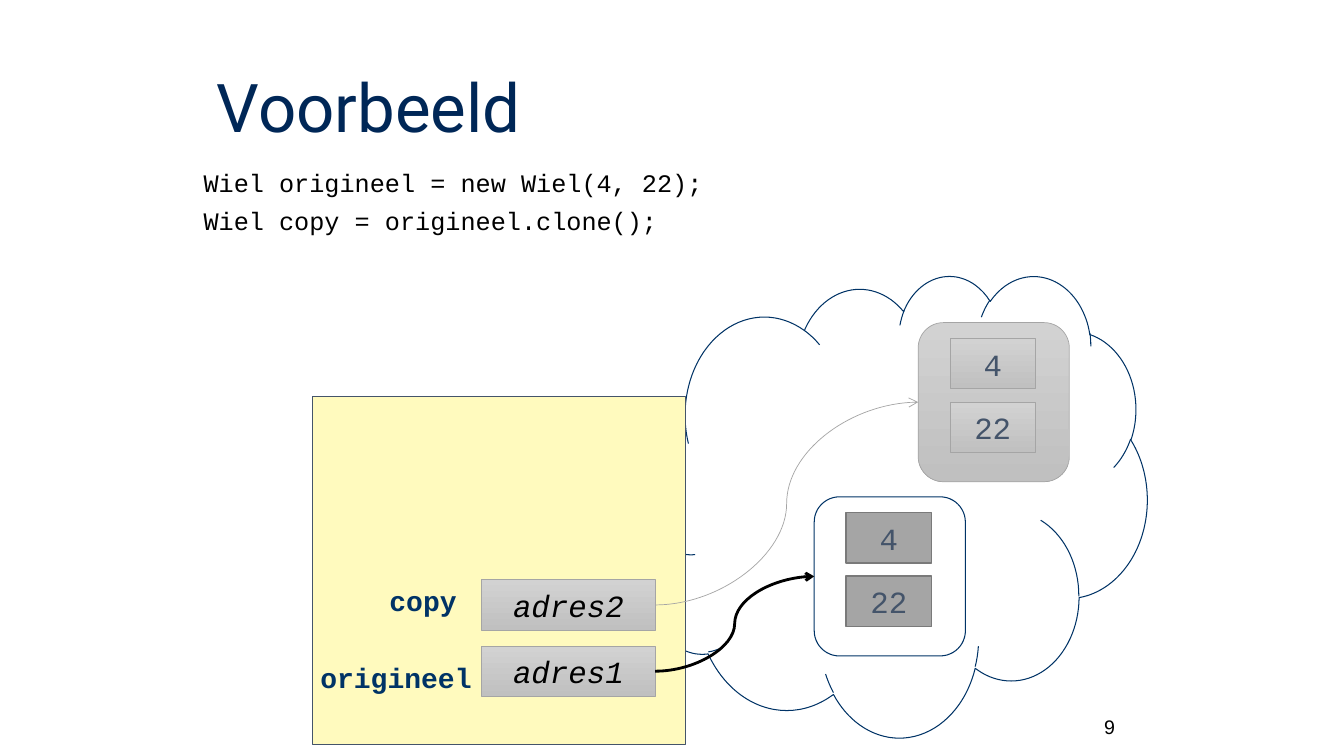
from lxml.etree import SubElement
from pptx import Presentation
from pptx.dml.color import RGBColor
from pptx.enum.shapes import MSO_CONNECTOR, MSO_SHAPE
from pptx.enum.text import MSO_ANCHOR, PP_ALIGN
from pptx.oxml.ns import qn
from pptx.util import Cm, Pt

BLACK = RGBColor(0x00, 0x00, 0x00)
WHITE = RGBColor(0xFF, 0xFF, 0xFF)
NAVY = RGBColor(0x00, 0x27, 0x57)
BLUE = RGBColor(0x00, 0x33, 0x66)
SLATE = RGBColor(0x44, 0x54, 0x6A)
CREAM = RGBColor(0xFF, 0xFA, 0xBE)
GREY = RGBColor(0xA5, 0xA5, 0xA5)
DARK = RGBColor(0x7A, 0x7A, 0x7A)
SHADE = [RGBColor(0xD2, 0xD2, 0xD2), RGBColor(0xC0, 0xC0, 0xC0)]

MONO = "Courier New"
CODE = {"name": MONO, "size": Pt(18), "color": BLACK}
LABEL = {"name": MONO, "size": Pt(20), "bold": True, "color": BLUE}
ADDRESS = {"name": MONO, "size": Pt(22), "italic": True, "color": BLACK}
VALUE = {"name": MONO, "size": Pt(22), "color": SLATE}
TITLE = {"name": "Roboto", "size": Pt(48), "color": NAVY}
NUMBER = {"name": "Arial", "size": Pt(14), "color": BLACK}

PALE = {"fill": SHADE, "line": GREY, "width": 0.5}
SOLID = {"fill": GREY, "line": DARK, "width": 1}
PLAIN = {"fill": WHITE, "line": BLUE, "width": 0.75}
STACK = {"fill": CREAM, "line": SLATE, "width": 0.75}


def write(para, text, style, align=PP_ALIGN.LEFT):
    para.alignment = align
    run = para.add_run()
    run.text = text
    for key, value in style.items():
        if key == "color":
            run.font.color.rgb = value
        else:
            setattr(run.font, key, value)


def add_text(slide, box, lines, style, align=PP_ALIGN.LEFT, wrap=True, inset=None, after=0):
    frame = slide.shapes.add_textbox(*map(Cm, box)).text_frame
    frame.word_wrap = wrap
    if inset is not None:
        for side in ("left", "top", "right", "bottom"):
            setattr(frame, f"margin_{side}", Cm(inset))
    for i, line in enumerate(lines):
        para = frame.add_paragraph() if i else frame.paragraphs[0]
        para.space_after = Pt(after)
        write(para, line, style, align)


def add_box(slide, kind, box, look, text=None, style=None):
    shape = slide.shapes.add_shape(kind, *map(Cm, box))
    shape.shadow.inherit = False
    if isinstance(look["fill"], list):
        shape.fill.gradient()
        shape.fill.gradient_angle = 270
        for stop, color in zip(shape.fill.gradient_stops, look["fill"]):
            stop.color.rgb = color
    else:
        shape.fill.solid()
        shape.fill.fore_color.rgb = look["fill"]
    shape.line.color.rgb = look["line"]
    shape.line.width = Pt(look["width"])
    if text:
        shape.text_frame.vertical_anchor = MSO_ANCHOR.MIDDLE
        write(shape.text_frame.paragraphs[0], text, style, PP_ALIGN.CENTER)
    return shape


def add_arrow(slide, start, end, color, width):
    arrow = slide.shapes.add_connector(MSO_CONNECTOR.CURVE, 0, 0, 0, 0)
    arrow.begin_connect(start, 3)
    arrow.end_connect(end, 1)
    arrow.line.color.rgb = color
    arrow.line.width = Pt(width)
    props = arrow.element.spPr
    SubElement(props.find(qn("a:ln")), qn("a:tailEnd"), type="arrow")
    SubElement(props, qn("a:effectLst"))


def add_ref(slide, name, label, address, top, place, looks, line):
    add_text(slide, label, [name], LABEL, PP_ALIGN.RIGHT)
    var = add_box(slide, MSO_SHAPE.RECTANGLE, (12.14, top, 4.37, 1.27), PALE, address, ADDRESS)
    left, high = place
    wheel = add_box(slide, MSO_SHAPE.ROUNDED_RECTANGLE, (left, high, 3.81, 4.01), looks[0])
    for i, value in enumerate(("4", "22")):
        cell = (left + 0.8, high + 0.4 + 1.6 * i, 2.16, 1.27)
        add_box(slide, MSO_SHAPE.RECTANGLE, cell, looks[1], value, VALUE)
    add_arrow(slide, var, wheel, *line)


def add_title(slide, text):
    title = slide.shapes.title
    for key, value in zip(("left", "top", "width", "height"), (5.21, 1.02, 27.64, 3.56)):
        setattr(title, key, Cm(value))
    title.text_frame.vertical_anchor = MSO_ANCHOR.MIDDLE
    para = title.text_frame.paragraphs[0]
    para.line_spacing = 0.9
    write(para, text, TITLE)


def main():
    deck = Presentation()
    deck.slide_width, deck.slide_height = Cm(33.87), Cm(19.05)
    slide = deck.slides.add_slide(deck.slide_layouts[5])
    add_title(slide, "Voorbeeld")
    add_text(slide, (27.56, 17.88, 0.79, 0.79), ["9"], NUMBER, PP_ALIGN.RIGHT, wrap=False)
    code = ["Wiel origineel = new Wiel(4, 22);", "Wiel copy = origineel.clone();"]
    add_text(slide, (5.03, 4.11, 23.32, 10.97), code, CODE, inset=0.1, after=6)
    add_box(slide, MSO_SHAPE.CLOUD, (16.13, 6.93, 12.78, 11.63), PLAIN)
    add_box(slide, MSO_SHAPE.RECTANGLE, (7.87, 10, 9.4, 8.77), STACK)
    add_ref(slide, "origineel", (7.72, 16.51, 4.42, 1.12), "adres1", 16.28,
            (20.52, 12.52), (PLAIN, SOLID), (BLACK, 2))
    add_ref(slide, "copy", (7.67, 14.58, 4.09, 1.12), "adres2", 14.61,
            (23.14, 8.13), (PALE, PALE), (GREY, 0.5))
    deck.save("out.pptx")


if __name__ == "__main__":
    main()
